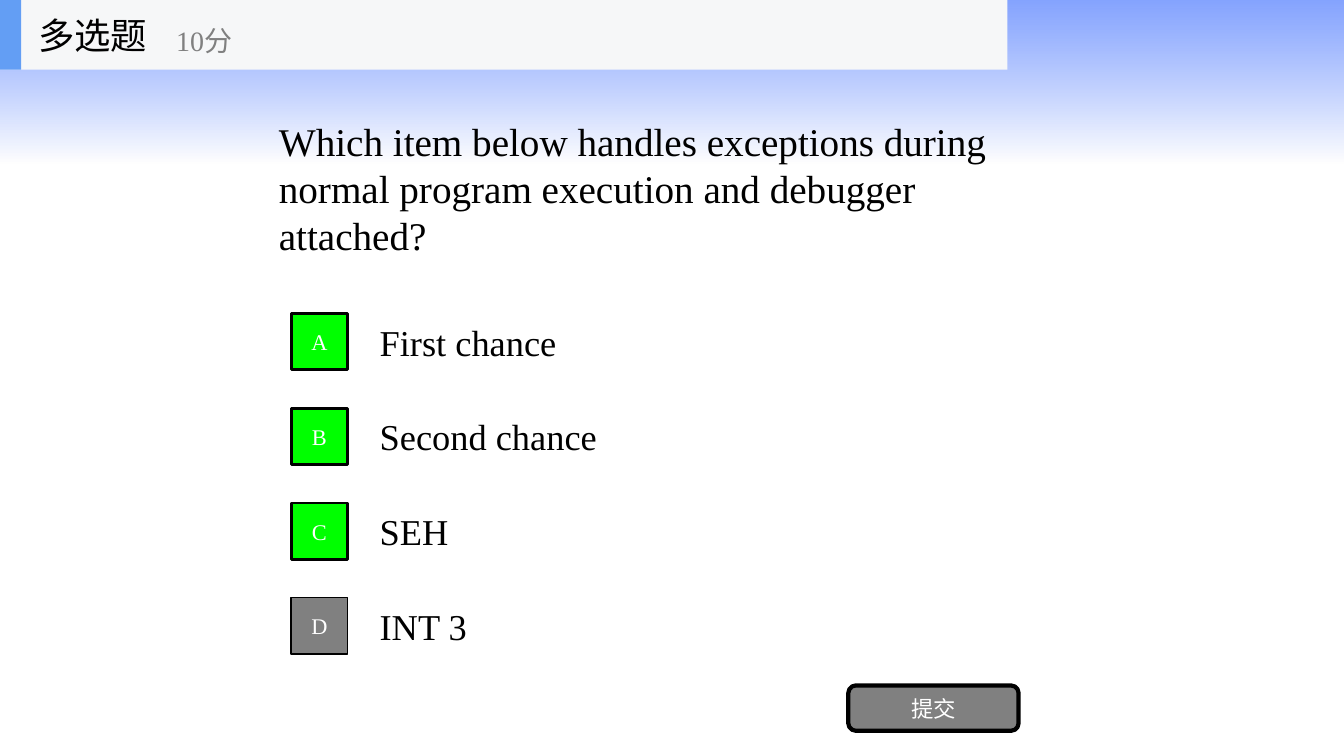
from dataclasses import dataclass

from lxml import etree
from pptx import Presentation
from pptx.dml.color import RGBColor
from pptx.enum.shapes import MSO_SHAPE
from pptx.enum.text import MSO_ANCHOR, PP_ALIGN
from pptx.oxml.ns import qn
from pptx.util import Inches, Pt

RECTANGLE = MSO_SHAPE.RECTANGLE
ROUNDED = MSO_SHAPE.ROUNDED_RECTANGLE
MIDDLE = MSO_ANCHOR.MIDDLE
LEFT = PP_ALIGN.LEFT
CENTER = PP_ALIGN.CENTER


@dataclass(frozen=True)
class Theme:
    font: str = "Times New Roman"
    black: str = "000000"
    white: str = "FFFFFF"
    gray: str = "808080"
    correct: str = "00FF00"
    header: str = "F6F7F8"
    accent: str = "639EF4"
    sky: str = "3366FF"
    question_size: int = 28
    option_size: int = 26
    score_size: int = 20
    button_size: int = 16


def write_text(shape, text, *, font, size, color, align=LEFT):
    frame = shape.text_frame
    frame.word_wrap = True
    frame.vertical_anchor = MIDDLE
    paragraph = frame.paragraphs[0]
    paragraph.alignment = align
    run = paragraph.add_run()
    run.text = text
    run.font.name = font
    run.font.size = Pt(size)
    run.font.color.rgb = RGBColor.from_string(color)


class QuizSlide:
    def __init__(self, slide, theme):
        self.slide = slide
        self.theme = theme

    def box(self, left, top, width, height, fill=None, line_width=0, kind=RECTANGLE):
        shape = self.slide.shapes.add_shape(
            kind, Inches(left), Inches(top), Inches(width), Inches(height))
        shape.shadow.inherit = False
        if fill:
            shape.fill.solid()
            shape.fill.fore_color.rgb = RGBColor.from_string(fill)
        if line_width:
            shape.line.color.rgb = RGBColor.from_string(self.theme.black)
            shape.line.width = Pt(line_width)
        else:
            shape.line.fill.background()
        return shape

    def fade(self, left, top, width, height, stops):
        shape = self.box(left, top, width, height)
        shape.fill.gradient()
        shape.fill.gradient_angle = 270
        for stop, (color, opacity) in zip(shape.fill.gradient_stops, stops):
            stop.color.rgb = RGBColor.from_string(color)
        colors = shape._element.spPr.iter(qn("a:srgbClr"))
        for element, (color, opacity) in zip(colors, stops):
            etree.SubElement(element, qn("a:alpha"), val=str(opacity * 1000))

    def label(self, left, top, width, height, text, size, color=None):
        shape = self.slide.shapes.add_textbox(
            Inches(left), Inches(top), Inches(width), Inches(height))
        write_text(shape, text, font=self.theme.font, size=size,
                   color=color or self.theme.black)

    def button(self, left, top, width, height, text, fill, line_width, kind=RECTANGLE):
        shape = self.box(left, top, width, height, fill, line_width, kind)
        write_text(shape, text, font=self.theme.font, size=self.theme.button_size,
                   color=self.theme.white, align=CENTER)

    def option(self, top, letter, text, correct):
        fill, line_width = (self.theme.correct, 2) if correct else (self.theme.gray, 1)
        self.label(3.67, top, 7, 0.7, text, self.theme.option_size)
        self.button(2.89, top + 0.07, 0.56, 0.56, letter, fill, line_width)


def main():
    theme = Theme()
    presentation = Presentation()
    presentation.slide_width = Inches(13.34)
    presentation.slide_height = Inches(7.5)
    quiz = QuizSlide(presentation.slides.add_slide(presentation.slide_layouts[6]), theme)

    quiz.fade(0, 0, 13.34, 1.62, [(theme.sky, 60), (theme.white, 70)])
    quiz.label(2.67, 0.69, 8, 2.34,
               "Which item below handles exceptions during normal program "
               "execution and debugger attached?", theme.question_size)

    options = [("A", "First chance", True), ("B", "Second chance", True),
               ("C", "SEH", True), ("D", "INT 3", False)]
    for index, (letter, text, correct) in enumerate(options):
        quiz.option(3.04 + 0.94 * index, letter, text, correct)
    quiz.button(8.42, 6.8, 1.69, 0.45, "提交", theme.gray, 3, ROUNDED)

    quiz.box(0, 0, 10, 0.69, theme.header)
    quiz.box(0, 0, 0.21, 0.69, theme.accent)
    quiz.label(0.28, 0, 2.08, 0.69, "多选题", theme.option_size)
    quiz.label(1.65, 0.12, 2.5, 0.56, "10分", theme.score_size, theme.gray)

    presentation.save("out.pptx")


if __name__ == "__main__":
    main()
